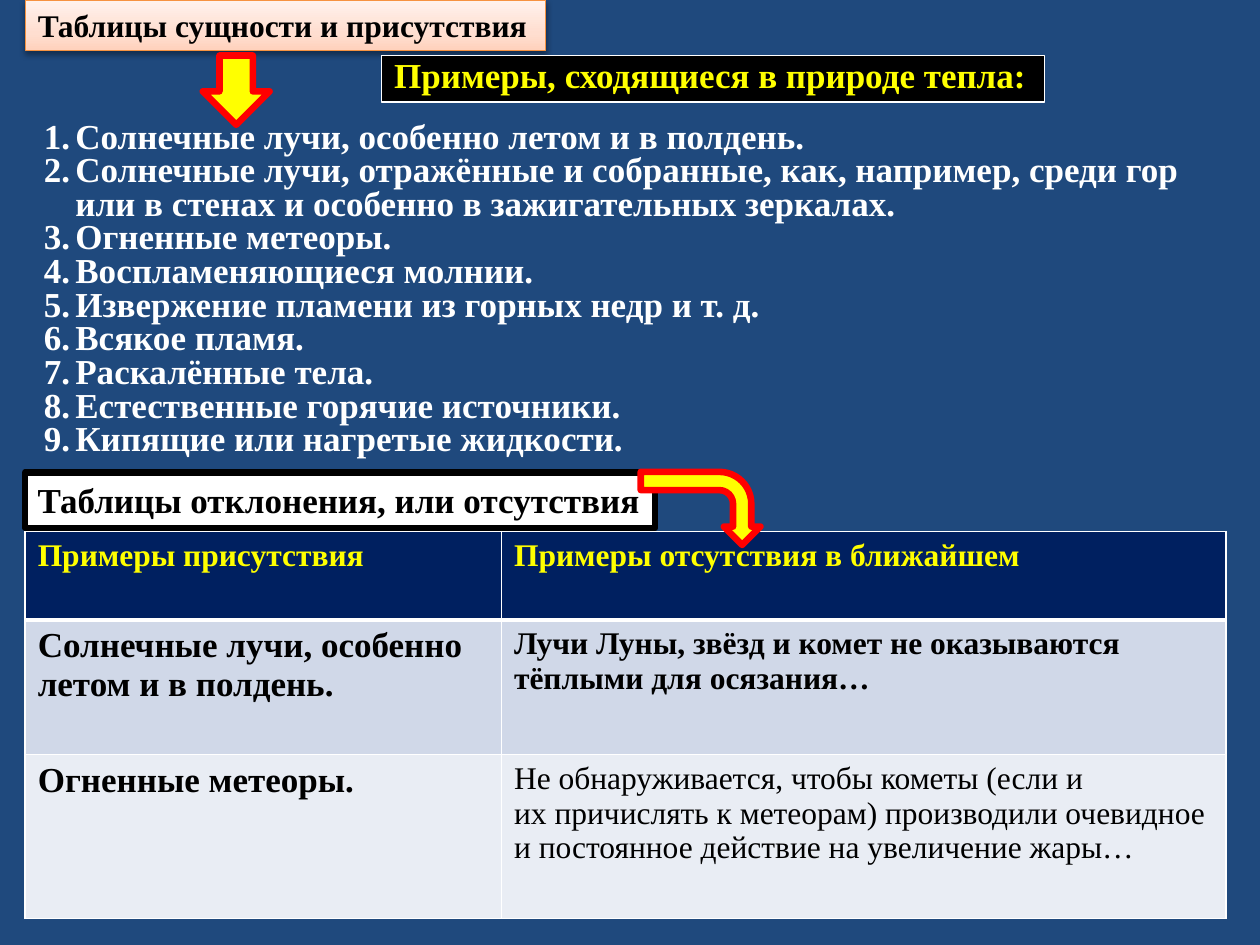
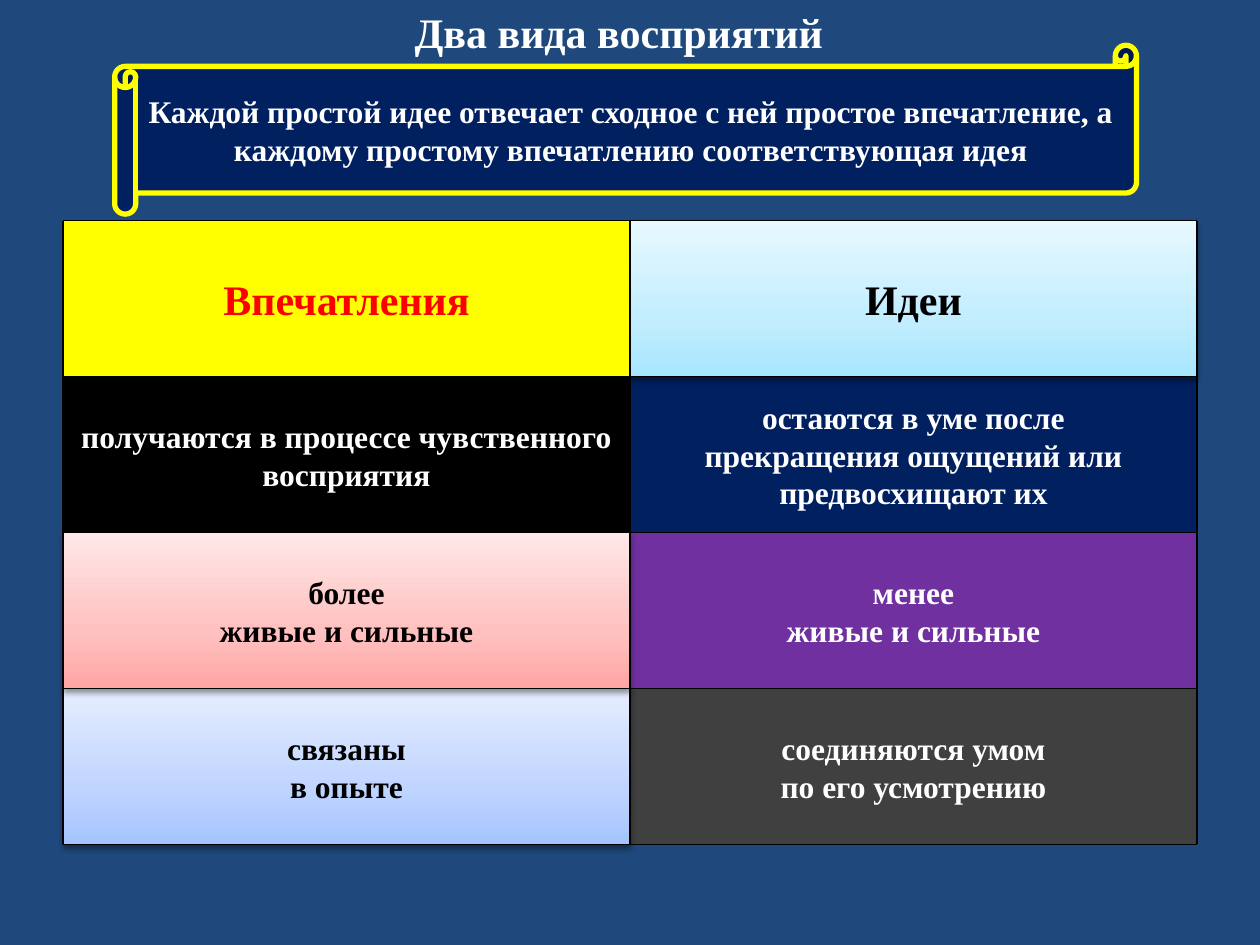
from copy import deepcopy

from lxml import etree
from pptx import Presentation
from pptx.dml.color import RGBColor
from pptx.enum.shapes import MSO_CONNECTOR, MSO_SHAPE
from pptx.enum.text import MSO_ANCHOR, PP_ALIGN
from pptx.oxml.ns import qn
from pptx.util import Inches, Pt

RECT, SCROLL = MSO_SHAPE.RECTANGLE, MSO_SHAPE.HORIZONTAL_SCROLL
DOWN_ARROW, BENT_ARROW = MSO_SHAPE.DOWN_ARROW, MSO_SHAPE.BENT_ARROW
STRAIGHT = MSO_CONNECTOR.STRAIGHT
LEFT, CENTER = PP_ALIGN.LEFT, PP_ALIGN.CENTER
TOP, MIDDLE = MSO_ANCHOR.TOP, MSO_ANCHOR.MIDDLE

# Colours
BLACK = RGBColor(0x00, 0x00, 0x00)
WHITE = RGBColor(0xFF, 0xFF, 0xFF)
YELLOW = RGBColor(0xFF, 0xFF, 0x00)
RED = RGBColor(0xFF, 0x00, 0x00)
BLUE = RGBColor(0x1F, 0x49, 0x7D)
NAVY = RGBColor(0x00, 0x20, 0x60)
PURPLE = RGBColor(0x70, 0x30, 0xA0)
GRAY = RGBColor(0x40, 0x40, 0x40)
BAND_DARK = RGBColor(0xD0, 0xD8, 0xE8)
BAND_LIGHT = RGBColor(0xE9, 0xED, 0xF4)

# Soft gradients, bottom to top, each with its outline colour
PEACH = ([RGBColor(0xFF, 0xD2, 0xBD), RGBColor(0xFF, 0xDE, 0xD0),
          RGBColor(0xFF, 0xF2, 0xED)], RGBColor(0xF6, 0x92, 0x40))
SKY = ([RGBColor(0xA4, 0xC4, 0xFF), RGBColor(0xBF, 0xD4, 0xFF),
        RGBColor(0xE6, 0xEE, 0xFF)], RGBColor(0x4B, 0x7E, 0xBC))
ROSE = ([RGBColor(0xFF, 0xA6, 0xA5), RGBColor(0xFF, 0xC0, 0xBF),
         RGBColor(0xFF, 0xE7, 0xE7)], RGBColor(0xBF, 0x4C, 0x48))
AQUA = ([RGBColor(0xA7, 0xE6, 0xFF), RGBColor(0xC1, 0xED, 0xFF),
         RGBColor(0xE7, 0xF8, 0xFF)], RGBColor(0x46, 0xAA, 0xC5))


class Deck:
    """Shared style and the current slide, on a grid of 100 x 75 units."""
    font = "Times New Roman"
    layout_title_only = 5

    def __init__(self):
        self.prs = Presentation()
        self.prs.slide_width, self.prs.slide_height = Inches(10), Inches(7.5)
        self.unit = self.prs.slide_width / 100

    def grid(self, *units):
        return [round(u * self.unit) for u in units]

    def new_slide(self):
        layout = self.prs.slide_layouts[self.layout_title_only]
        self.s = self.prs.slides.add_slide(layout)
        self.s.background.fill.solid()
        self.s.background.fill.fore_color.rgb = BLUE

    def paragraph(self, p, text, size, color, bold=True, align=LEFT):
        p.alignment = align
        for i, line in enumerate(text.split("\n")):
            if i:
                p.add_line_break()
            r = p.add_run()
            r.text = line
            r.font.name, r.font.size = self.font, Pt(size)
            r.font.bold, r.font.color.rgb = bold, color

    def paint(self, sp, fill, line=None, width=1):
        """Fill with a colour, or with a soft gradient that brings its outline."""
        plain = isinstance(fill, RGBColor)
        if plain:
            sp.fill.solid()
            sp.fill.fore_color.rgb = fill
        else:
            stops, line = fill
            width = 0.5
            sp.fill.gradient()
            sp.fill.gradient_angle = 90
            gs_list = sp._element.spPr.find(".//" + qn("a:gsLst"))
            gs_list.insert(1, deepcopy(gs_list[0]))
            for stop, pos, rgb in zip(sp.fill.gradient_stops, (0, 0.35, 1), stops):
                stop.position, stop.color.rgb = pos, rgb
        if line is None:
            sp.line.fill.background()
        else:
            sp.line.color.rgb, sp.line.width = line, Pt(width)
        sp.shadow.inherit = False
        if not plain:
            self.drop_shadow(sp)

    def drop_shadow(self, sp):
        effects = sp._element.spPr.find(qn("a:effectLst"))
        shadow = etree.SubElement(
            effects, qn("a:outerShdw"), blurRad=str(Pt(3.5)), dist=str(Pt(2)),
            dir="5400000", rotWithShape="0")
        rgb = etree.SubElement(shadow, qn("a:srgbClr"), val=str(BLACK))
        etree.SubElement(rgb, qn("a:alpha"), val="38000")

    def title(self, at, text, size, color, fill=None):
        sp = self.s.shapes.title
        sp.left, sp.top, sp.width, sp.height = self.grid(*at)
        if fill:
            self.paint(sp, fill)
        tf = sp.text_frame
        tf.word_wrap, tf.vertical_anchor = False, TOP
        self.paragraph(tf.paragraphs[0], text, size, color)

    def shape(self, kind, at, fill, line=None, width=1, rotation=0):
        sp = self.s.shapes.add_shape(kind, *self.grid(*at))
        sp.rotation = rotation
        self.paint(sp, fill, line, width)
        return sp

    def label(self, at, text, color, fill, line, width, spacing=1.0):
        tf = self.shape(RECT, at, fill, line, width).text_frame
        tf.word_wrap, tf.vertical_anchor = False, TOP
        self.paragraph(tf.paragraphs[0], text, 20, color)
        tf.paragraphs[0].line_spacing = spacing

    def panel(self, at, text, size, color, fill):
        tf = self.shape(RECT, at, fill).text_frame
        tf.word_wrap, tf.vertical_anchor = True, MIDDLE
        tf.margin_left = tf.margin_right = tf.margin_top = tf.margin_bottom = 0
        self.paragraph(tf.paragraphs[0], text, size, color, align=CENTER)
        tf.paragraphs[0].space_before = Pt(0.2 * size)

    def scroll(self, at, text):
        tf = self.shape(SCROLL, at, NAVY, YELLOW, 3).text_frame
        tf.word_wrap, tf.vertical_anchor = True, MIDDLE
        self.paragraph(tf.paragraphs[0], text, 18, WHITE, align=CENTER)

    def arrow(self, kind, at, rotation=0):
        self.shape(kind, at, YELLOW, RED, 3.78, rotation)

    def numbered_list(self, at, items):
        tf = self.s.shapes.add_textbox(*self.grid(*at)).text_frame
        tf.word_wrap = True
        for i, item in enumerate(items):
            p = tf.add_paragraph() if i else tf.paragraphs[0]
            self.paragraph(p, item, 20, WHITE)
            p.line_spacing = 0.8
            pPr = p._p.get_or_add_pPr()
            pPr.set("marL", str(Inches(0.5)))
            pPr.set("indent", str(Inches(-0.25)))
            etree.SubElement(pPr, qn("a:buFont"), typeface="+mj-lt")
            etree.SubElement(pPr, qn("a:buAutoNum"), type="arabicPeriod")

    def line(self, x1, y1, x2, y2):
        c = self.s.shapes.add_connector(STRAIGHT, *self.grid(x1, y1, x2, y2))
        c.line.color.rgb, c.line.width = BLACK, Pt(1)
        etree.SubElement(c._element.spPr, qn("a:effectLst"))

    def table(self, left, top, cols, rows, cells):
        at = self.grid(left, top, sum(cols), sum(rows))
        tbl = self.s.shapes.add_table(len(rows), len(cols), *at).table
        for col, width in zip(tbl.columns, self.grid(*cols)):
            col.width = width
        for row, height in zip(tbl.rows, self.grid(*rows)):
            row.height = height
        for i, (fill, texts) in enumerate(cells):
            for j, (text, size, color, bold) in enumerate(texts):
                cell = tbl.cell(i, j)
                p = cell.text_frame.paragraphs[0]
                self.paragraph(p, text, size, color, bold)
                # The rule under the header is thicker
                self.borders(cell, top=3 if i == 1 else 1, bottom=3 if i == 0 else 1)
                cell.fill.solid()
                cell.fill.fore_color.rgb = fill

    def borders(self, cell, top, bottom):
        tcPr = cell._tc.get_or_add_tcPr()
        for side, width in (("L", 1), ("R", 1), ("T", top), ("B", bottom)):
            ln = etree.SubElement(tcPr, qn("a:ln" + side), w=str(Pt(width)))
            fill = etree.SubElement(ln, qn("a:solidFill"))
            etree.SubElement(fill, qn("a:srgbClr"), val=str(WHITE))


deck = Deck()

# Slide 1: tables of presence and absence
deck.new_slide()
deck.title((2, 0, 41.3, 4), "Таблицы сущности и присутствия", 18, BLACK, PEACH)
deck.label((30.3, 4.4, 52.6, 3.7), "Примеры, сходящиеся в природе тепла:",
           YELLOW, BLACK, WHITE, 0.75, spacing=0.8)
deck.numbered_list((0, 9.2, 98, 27.9), [
    "Солнечные лучи, особенно летом и в полдень.",
    "Солнечные лучи, отражённые и собранные, как, например, среди гор "
    "или в стенах и особенно в зажигательных зеркалах.",
    "Огненные метеоры.",
    "Воспламеняющиеся молнии.",
    "Извержение пламени из горных недр и т. д.",
    "Всякое пламя.",
    "Раскалённые тела.",
    "Естественные горячие источники.",
    "Кипящие или нагретые жидкости.",
])
deck.arrow(DOWN_ARROW, (16.1, 4.4, 5.3, 5.5))
deck.label((2, 37.5, 50, 4.4), "Таблицы отклонения, или отсутствия ",
           BLACK, WHITE, BLACK, 3.78)
deck.table(2, 42.2, (37.8, 57.5), (7, 10.7, 13), [
    (NAVY, [("Примеры присутствия", 18, YELLOW, True),
            ("Примеры отсутствия в ближайшем", 18, YELLOW, True)]),
    (BAND_DARK, [
        ("Солнечные лучи, особенно летом и в полдень.", 20, BLACK, True),
        ("Лучи Луны, звёзд и комет не оказываются тёплыми для осязания…",
         18, BLACK, True)]),
    (BAND_LIGHT, [
        ("Огненные метеоры.", 20, BLACK, True),
        ("Не обнаруживается, чтобы кометы (если и\nих причислять к метеорам) "
         "производили очевидное и постоянное действие на увеличение жары…",
         18, BLACK, False)]),
])
deck.arrow(BENT_ARROW, (52.7, 35.6, 5.8, 9.5), rotation=90)

# Slide 2: two kinds of perceptions
deck.new_slide()
deck.title((31.9, 0, 36.2, 5), "Два вида восприятий", 24, WHITE)

# Comparison panels, drawn from the bottom row up so that shadows fall downwards
X, Y, W, H = 5, 17.5, 45, 12.38
comparison = [
    [("Впечатления", 24, RED, YELLOW), ("Идеи", 24, BLACK, AQUA)],
    [("получаются в процессе чувственного восприятия", 18, WHITE, BLACK),
     ("остаются в уме после\nпрекращения ощущений или предвосхищают их",
      18, WHITE, NAVY)],
    [("более\nживые и сильные", 18, BLACK, ROSE),
     ("менее\nживые и сильные", 18, WHITE, PURPLE)],
    [("связаны\nв опыте", 18, BLACK, SKY),
     ("соединяются умом\nпо его усмотрению", 18, WHITE, GRAY)],
]
n_rows, n_cols = len(comparison), len(comparison[0])
for i in reversed(range(n_rows)):
    for j in reversed(range(n_cols)):
        deck.panel((X + j * W, Y + i * H, W, H), *comparison[i][j])

# Grid lines
for i in range(n_rows + 1):
    deck.line(X, Y + i * H, X + n_cols * W, Y + i * H)
for j in range(n_cols + 1):
    deck.line(X + j * W, Y, X + j * W, Y + n_rows * H)

deck.scroll((9.1, 3.6, 81.1, 13.4),
            "Каждой простой идее отвечает сходное с ней простое впечатление, "
            "а каждому простому впечатлению соответствующая идея")

deck.prs.save("out.pptx")
